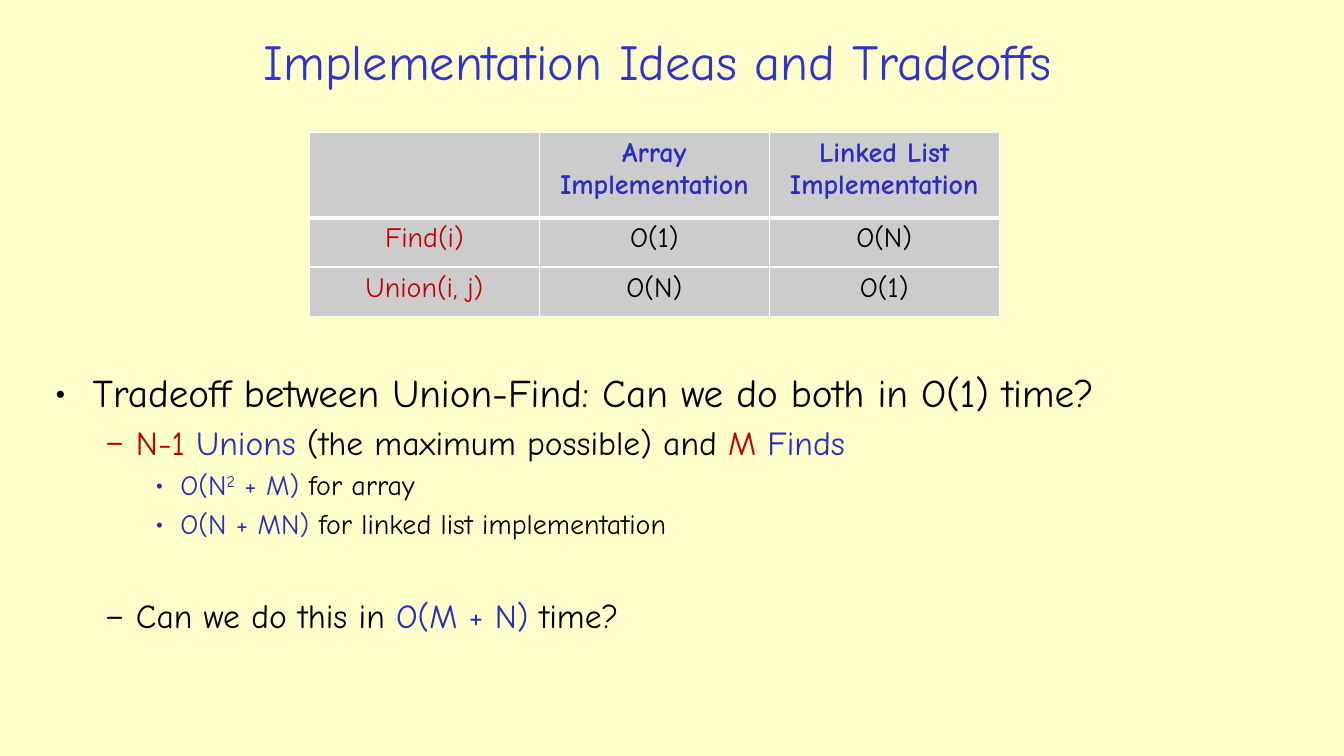
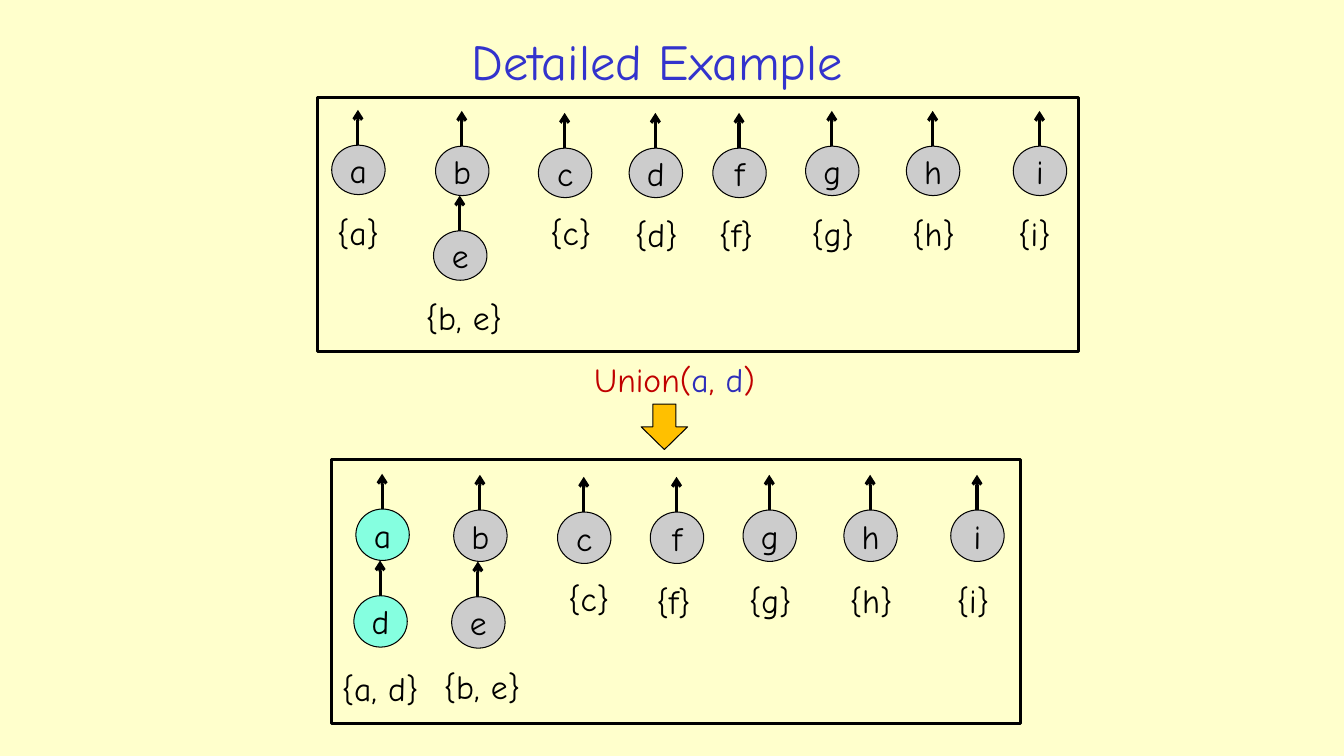
from pptx import Presentation
from pptx import util as u
from pptx.dml.color import RGBColor
from pptx.enum import shapes, text
from pptx.oxml.ns import qn
from lxml import etree

PX = 9144  # 100 px to the inch
FONT = "Comic Neue"
COLORS = {"back": "FFFFCC", "title": "3333CC", "blue": "2D2DB9", "red": "C00000",
          "black": "000000", "white": "FFFFFF", "gray": "CCCCCC",
          "teal": "85FFE0", "orange": "FFC000"}

# Content: slide 1
TABLE = [["", "Array Implementation", "Linked List Implementation"],
         ["Find(i)", "O(1)", "O(N)"],
         ["Union(i, j)", "O(N)", "O(1)"]]
ROW_HEIGHTS = [85, 49, 49]
COL_WIDTH = 228
# level: bullet, left margin, hanging indent, text size
LEVELS = [("•", 38, 38, 28), ("–", 81, 31, 24), ("•", 125, 25, 20)]
# level, space before in points, runs of (text, colour[, baseline])
BODY = [
    (0, 0, [("Tradeoff between Union-Find: Can we do both in O(1) time?", "black")]),
    (1, 5, [("N-1 ", "red"), ("Unions", "blue"),
            (" (the maximum possible) and ", "black"), ("M ", "red"), ("Finds", "blue")]),
    (2, 4, [("O(N", "blue"), ("2", "blue", 30000), (" + M) ", "blue"),
            ("for array", "black")]),
    (2, 4, [("O(N + MN) ", "blue"), ("for linked list implementation", "black")]),
    (1, 39, [("Can we do this in ", "black"), ("O(M + N)", "blue"), (" time?", "black")]),
]

# Content: slide 2; trees are (root left, root top, nodes, label centre, label top)
PANELS = [
    {"frame": (315, 97, 755, 252), "node_h": 49, "marked": "", "trees": [
        (329, 144, "a", 355, 205), (432, 145, "be", 460, 290),
        (534, 147, "c", 566, 205), (624, 147, "d", 651, 207),
        (707, 147, "f", 730, 207), (799, 145, "g", 826, 206),
        (899, 145, "h", 926, 206), (1005, 145, "i", 1026, 206)]},
    {"frame": (329, 456, 683, 262), "node_h": 51, "marked": "ad", "trees": [
        (353, 505, "ad", 377, 658), (450, 506, "be", 478, 656),
        (553, 508, "c", 584, 568), (645, 508, "f", 668, 571),
        (737, 506, "g", 764, 570), (837, 506, "h", 864, 570),
        (943, 506, "i", 965, 570)]},
]
UNION = [("Union(", "red"), ("a", "blue"), (", ", "red"), ("d", "blue"), (")", "red")]
NODE_W, ARROW_LEN, CHILD_SHIFT = 53, 35, -2
SET_W, UNION_W, LABEL_H = 102, 190, 50


def px(*values):
    return [u.Emu(v * PX) for v in values]


def rgb(name):
    return RGBColor.from_string(COLORS[name])


def add_runs(p, runs, size, **extra):
    for content, color, *baseline in runs:
        r = p.add_run()
        r.text = content
        for key, value in {"name": FONT, "size": u.Pt(size), **extra}.items():
            setattr(r.font, key, value)
        r.font.color.rgb = rgb(color)
        if baseline:
            r.font._element.set("baseline", str(baseline[0]))


def sub(parent, tag, **attrs):
    return etree.SubElement(parent, qn(tag), attrs)


def solid(parent, tag, color):
    sub(sub(parent, tag), "a:srgbClr", val=COLORS[color])


def add_slide(title):
    s = prs.slides.add_slide(prs.slide_layouts[5])
    sp = s.shapes.title
    sp.left, sp.top, sp.width, sp.height = px(204, 25, 896, 69)
    tf = sp.text_frame
    for key, value in {"vertical_anchor": text.MSO_ANCHOR.MIDDLE, "word_wrap": True,
                       "auto_size": text.MSO_AUTO_SIZE.NONE}.items():
        setattr(tf, key, value)
    p = tf.paragraphs[0]
    p.alignment = text.PP_ALIGN.CENTER
    add_runs(p, [(title, "title")], 36)
    return s


def add_body(s):
    tf = s.shapes.add_textbox(*px(44, 360, 1251, 354)).text_frame
    tf.word_wrap = True
    for i, (level, space, runs) in enumerate(BODY):
        p = tf.add_paragraph() if i else tf.paragraphs[0]
        char, margin, hang, size = LEVELS[level]
        p.level = level
        pPr = p._p.get_or_add_pPr()
        pPr.set("marL", str(margin * PX))
        pPr.set("indent", str(-hang * PX))
        solid(pPr, "a:buClr", runs[0][1])
        sub(pPr, "a:buFont", typeface=FONT)
        sub(pPr, "a:buChar", char=char)
        if space:
            p.space_before = u.Pt(space)
        add_runs(p, runs, size)


def add_cost_table(s):
    rows, cols = len(TABLE), len(TABLE[0])
    table = s.shapes.add_table(rows, cols, *px(
        307, 131, COL_WIDTH * cols, sum(ROW_HEIGHTS))).table
    table.first_row = table.horz_banding = False
    for col in table.columns:
        col.width = u.Emu(COL_WIDTH * PX)
    for i, row in enumerate(TABLE):
        table.rows[i].height = u.Emu(ROW_HEIGHTS[i] * PX)
        for j, content in enumerate(row):
            cell = table.cell(i, j)
            # Borders come before the fill in the cell properties
            tcPr = cell._tc.get_or_add_tcPr()
            for side in "LRTB":
                thick = (i, side) in ((0, "B"), (1, "T"))
                ln = sub(tcPr, "a:ln" + side, w=str(u.Pt(3 if thick else 1)))
                solid(ln, "a:solidFill", "white")
            cell.fill.solid()
            cell.fill.fore_color.rgb = rgb("gray")
            p = cell.text_frame.paragraphs[0]
            p.alignment = text.PP_ALIGN.CENTER
            if content:
                color = "blue" if i == 0 else "red" if j == 0 else "black"
                add_runs(p, [(content, color)], 20, bold=i == 0)


def add_box(s, kind, box, fill=None, weight=0.75):
    sp = s.shapes.add_shape(kind, *px(*box))
    sp.shadow.inherit = False
    if fill:
        sp.fill.solid()
        sp.fill.fore_color.rgb = rgb(fill)
    else:
        sp.fill.background()
    sp.line.color.rgb = rgb("black")
    sp.line.width = u.Pt(weight)
    return sp


def add_label(s, center, top, width, runs):
    tf = s.shapes.add_textbox(*px(center - width // 2, top, width, LABEL_H)).text_frame
    tf.word_wrap = False
    p = tf.paragraphs[0]
    p.alignment = text.PP_ALIGN.CENTER
    add_runs(p, runs, 24)


def add_up_arrow(s, x, y):
    line = s.shapes.add_connector(shapes.MSO_CONNECTOR.STRAIGHT, *px(x, y, x, y - ARROW_LEN))
    line.line.color.rgb = rgb("black")
    line.line.width = u.Pt(2.25)
    sub(line.line._get_or_add_ln(), "a:tailEnd", type="arrow")
    sub(line._element.spPr, "a:effectLst")


def add_node(s, x, y, height, letter, fill):
    sp = add_box(s, shapes.MSO_SHAPE.OVAL, (x, y, NODE_W, height), fill)
    tf = sp.text_frame
    for key, value in {"margin_left": 0, "margin_right": 0, "margin_top": 0,
                       "margin_bottom": 0, "word_wrap": False,
                       "vertical_anchor": text.MSO_ANCHOR.MIDDLE}.items():
        setattr(tf, key, value)
    p = tf.paragraphs[0]
    p.alignment = text.PP_ALIGN.CENTER
    add_runs(p, [(letter, "black")], 24)
    add_up_arrow(s, x + NODE_W // 2, y)


def add_panel(s, panel):
    add_box(s, shapes.MSO_SHAPE.RECTANGLE, panel["frame"], weight=2.25)
    height = panel["node_h"]
    for x, y, nodes, center, top in panel["trees"]:
        for depth, letter in enumerate(nodes):
            fill = "teal" if letter in panel["marked"] else "gray"
            add_node(s, x + depth * CHILD_SHIFT, y + depth * (height + ARROW_LEN),
                     height, letter, fill)
        add_label(s, center, top, SET_W, [("{" + ", ".join(nodes) + "}", "black")])


def main():
    prs.slide_width, prs.slide_height = u.Inches(13.33), u.Inches(7.5)
    back = prs.slide_master.background.fill
    back.solid()
    back.fore_color.rgb = rgb("back")

    # Slide 1: costs of the two implementations
    s = add_slide("Implementation Ideas and Tradeoffs")
    add_body(s)
    add_cost_table(s)

    # Slide 2: forests before and after a union
    s = add_slide("Detailed Example")
    for panel in PANELS:
        add_panel(s, panel)
    add_label(s, 669, 351, UNION_W, UNION)
    add_box(s, shapes.MSO_SHAPE.DOWN_ARROW, (636, 401, 46, 45), "orange")

    prs.save("out.pptx")


prs = Presentation()

if __name__ == "__main__":
    main()
